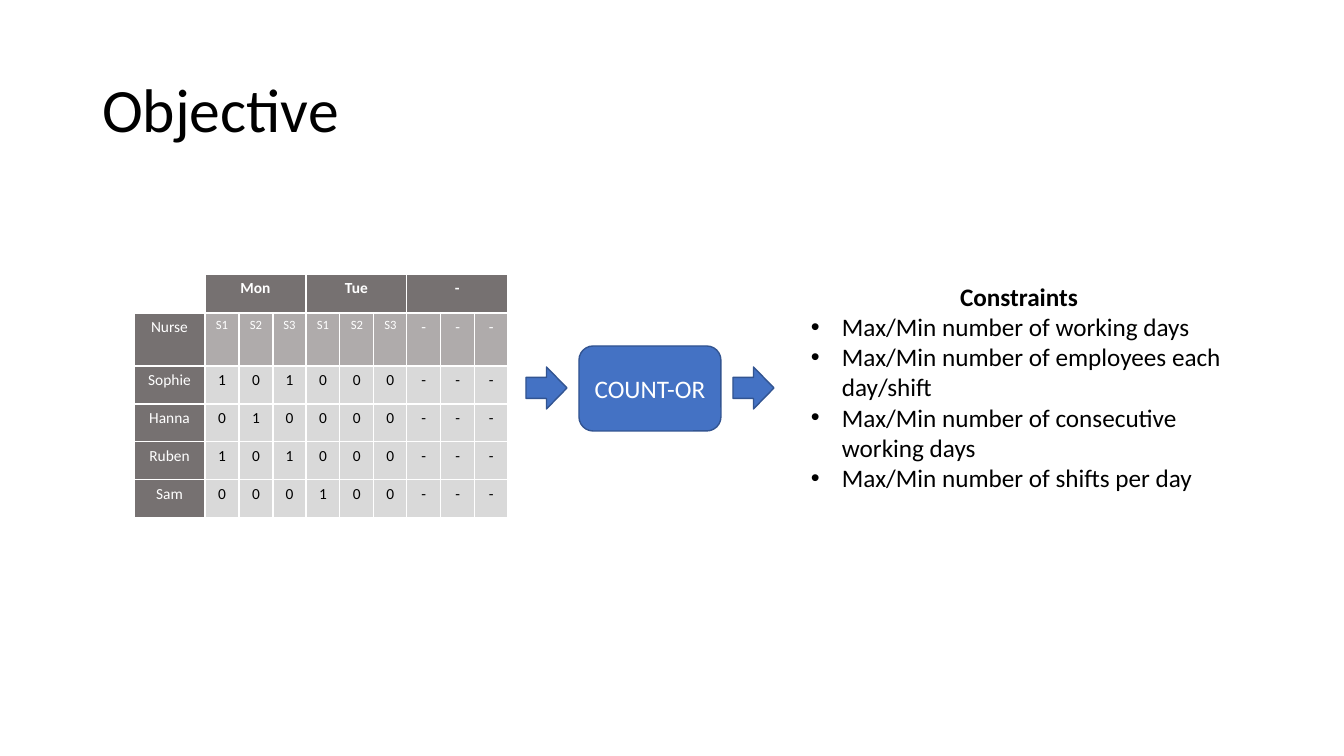
from lxml.etree import SubElement
from pptx import Presentation
from pptx.dml.color import RGBColor
from pptx.enum.shapes import MSO_SHAPE
from pptx.enum.text import MSO_ANCHOR, MSO_AUTO_SIZE, PP_ALIGN
from pptx.oxml.ns import qn
from pptx.util import Emu, Pt

BLACK, WHITE, BLUE, NAVY = "000000", "FFFFFF", "4472C4", "325491"
DARK, MID, LIGHT = "767171", "AFABAB", "D9D9D9"


def px(n):
    return Emu(round(n * 914400 / 100.8))


def color(code):
    return RGBColor.from_string(code)


class Deck:
    font = "Calibri"

    def __init__(self, width, height):
        self.prs = Presentation()
        self.prs.slide_width, self.prs.slide_height = px(width), px(height)
        self.slide = self.prs.slides.add_slide(self.prs.slide_layouts[5])

    def style(self, para, size, code, align=PP_ALIGN.CENTER, bold=False):
        para.alignment = align
        font = para.font
        font.name, font.size, font.bold = self.font, Pt(size), bold
        font.color.rgb = color(code)

    def title(self, text, *box):
        shape = self.slide.shapes.title
        shape.left, shape.top, shape.width, shape.height = map(px, box)
        shape.text_frame.text = text
        shape.text_frame.vertical_anchor = MSO_ANCHOR.MIDDLE
        para = shape.text_frame.paragraphs[0]
        para.line_spacing = 0.9
        self.style(para, 44, BLACK, PP_ALIGN.LEFT)

    def shape(self, kind, box, text=""):
        shape = self.slide.shapes.add_shape(kind, *map(px, box))
        shape.shadow.inherit = False
        shape.fill.solid()
        shape.fill.fore_color.rgb = color(BLUE)
        shape.line.color.rgb = color(NAVY)
        shape.line.width = Pt(1)
        if text:
            frame = shape.text_frame
            frame.text = text
            frame.vertical_anchor = MSO_ANCHOR.MIDDLE
            self.style(frame.paragraphs[0], 18, WHITE)

    def bullets(self, head, items, *box):
        frame = self.slide.shapes.add_textbox(*map(px, box)).text_frame
        frame.word_wrap = True
        frame.auto_size = MSO_AUTO_SIZE.SHAPE_TO_FIT_TEXT
        frame.text = head
        self.style(frame.paragraphs[0], 18, BLACK, bold=True)
        for item in items:
            para = frame.add_paragraph()
            para.text = item
            props = para._p.get_or_add_pPr()
            props.set("marL", str(px(31)))
            props.set("indent", str(-px(31)))
            SubElement(props, qn("a:buFont")).set("typeface", "Arial")
            SubElement(props, qn("a:buChar")).set("char", "•")
            self.style(para, 18, BLACK, PP_ALIGN.LEFT)

    def cell(self, cell, text, fill, size, code, bold):
        cell.margin_left = cell.margin_right = px(7)
        cell.margin_bottom = 0
        props = cell._tc.get_or_add_tcPr()
        for side in ("a:lnL", "a:lnR", "a:lnT", "a:lnB"):
            line = SubElement(props, qn(side), w=str(Pt(1)))
            paint = SubElement(line, qn("a:solidFill"))
            SubElement(paint, qn("a:srgbClr")).set("val", WHITE)
        cell.fill.solid()
        cell.fill.fore_color.rgb = color(fill)
        cell.text = text
        self.style(cell.text_frame.paragraphs[0], size, code, bold=bold)

    def table(self, rows, left, top, widths, heights):
        box = map(px, (left, top, sum(widths), sum(heights)))
        table = self.slide.shapes.add_table(len(heights), len(widths), *box).table
        table.first_row = table.horz_banding = False
        for col, width in zip(table.columns, widths):
            col.width = px(width)
        for row, height in zip(table.rows, heights):
            row.height = px(height)
        for r, row in enumerate(rows):
            for c, text in enumerate(row):
                if r == c == 0:
                    fill = WHITE
                elif r == 0 or c == 0:
                    fill = DARK
                else:
                    fill = MID if r == 1 else LIGHT
                size = 9 if r == 1 and text.startswith("S") else 11
                code = BLACK if fill == LIGHT else WHITE
                self.cell(table.cell(r, c), text, fill, size, code, r == 0)
        # Each day spans its three shifts
        for c in range(1, len(widths), 3):
            table.cell(0, c).merge(table.cell(0, c + 2))


def main():
    deck = Deck(1344, 756)
    deck.title("Objective", 92, 40, 1160, 146)

    # Constraints learned
    deck.bullets("Constraints", [
        "Max/Min number of working days",
        "Max/Min number of employees each day/shift",
        "Max/Min number of consecutive working days",
        "Max/Min number of shifts per day",
    ], 801, 276, 436, 224)

    # Flow from schedule to constraints
    deck.shape(MSO_SHAPE.RIGHT_ARROW, (526, 367, 41, 42))
    deck.shape(MSO_SHAPE.ROUNDED_RECTANGLE, (579, 346, 142, 85), "COUNT-OR")
    deck.shape(MSO_SHAPE.RIGHT_ARROW, (733, 367, 41, 42))

    # Nurse schedule
    shifts = {"Sophie": "101000", "Hanna": "010000",
              "Ruben": "101000", "Sam": "000100"}
    rows = [["", "Mon", "", "", "Tue", "", "", "-", "", ""],
            ["Nurse"] + ["S1", "S2", "S3"] * 2 + ["-"] * 3]
    rows += [[name, *marks, *"---"] for name, marks in shifts.items()]
    deck.table(rows, 134, 274, [71] + [34, 34, 33] * 3, [39, 53] + [38] * 4)

    deck.prs.save("out.pptx")


if __name__ == "__main__":
    main()
